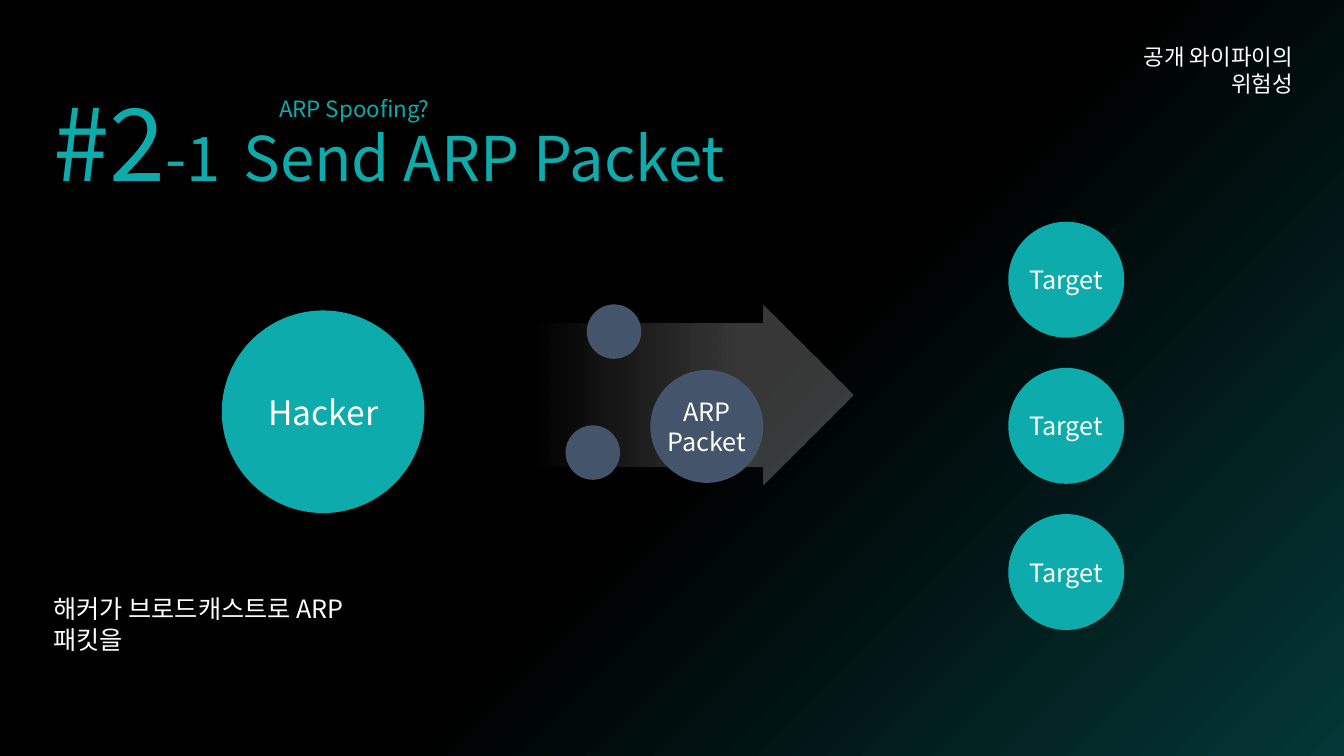
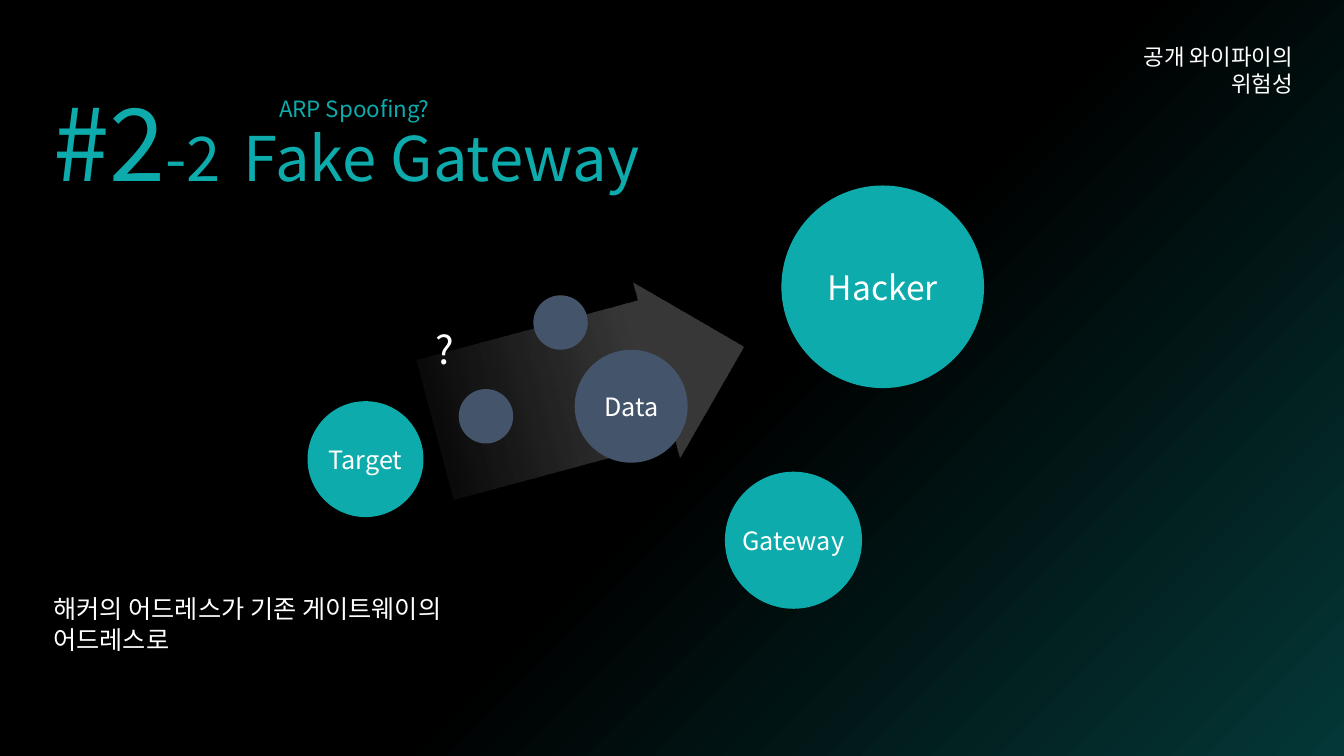
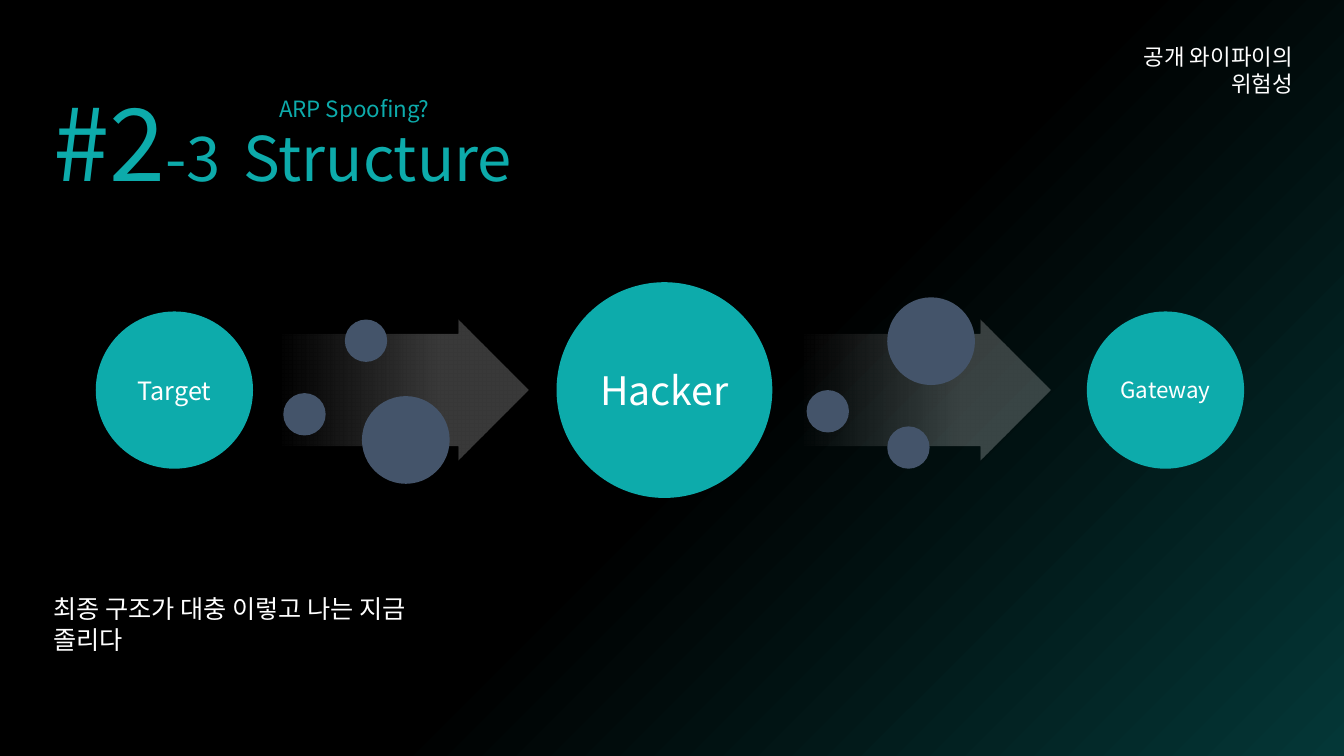
"""Build three dark slides that explain ARP spoofing."""
from dataclasses import dataclass

from lxml import etree
from pptx import Presentation
from pptx.dml.color import RGBColor
from pptx.enum.shapes import MSO_SHAPE
from pptx.enum.text import MSO_ANCHOR, MSO_AUTO_SIZE, PP_ALIGN
from pptx.oxml.ns import qn
from pptx.util import Inches, Pt

OVAL, ARROW = MSO_SHAPE.OVAL, MSO_SHAPE.RIGHT_ARROW
LEFT, MID, RIGHT = PP_ALIGN.LEFT, PP_ALIGN.CENTER, PP_ALIGN.RIGHT
TOP, CENTER = MSO_ANCHOR.TOP, MSO_ANCHOR.MIDDLE
FIXED, GROW = MSO_AUTO_SIZE.NONE, MSO_AUTO_SIZE.SHAPE_TO_FIT_TEXT


@dataclass(frozen=True)
class Theme:
    font: str = "Noto Sans CJK KR"
    black: str = "000000"
    deep: str = "043737"
    teal: str = "0DABAB"
    slate: str = "44546A"
    white: str = "FFFFFF"
    huge: int = 72
    head: int = 44
    large: int = 28
    name: int = 24
    body: int = 18
    small: int = 16


T = Theme()

TOPIC = "공개 와이파이의 위험성"
KICKER = "ARP Spoofing?"

# arrows: left, top, width, height, turn
# nodes and packets: label, size, left, top, width
SLIDES = [
    {
        "title": "Send ARP Packet",
        "note": ("해커가 브로드캐스트로 ARP패킷을", 3.8),
        "arrows": [(5.29, 3.02, 3.17, 1.8, 0)],
        "nodes": [("Hacker", T.name, 2.2, 3.08, 2.01)]
        + [("Target", T.body, 10, 2.2 + 1.45 * row, 1.15) for row in range(3)],
        "packets": [
            ("", T.body, 5.82, 3.02, 0.54),
            ("ARP\nPacket", T.body, 6.45, 3.67, 1.12),
            ("", T.body, 5.61, 4.22, 0.54),
        ],
        "marks": [],
    },
    {
        "title": "Fake Gateway",
        "note": ("해커의 어드레스가 기존 게이트웨이의 어드레스로", 5.28),
        "arrows": [(4.26, 2.95, 3.17, 1.8, 345)],
        "nodes": [
            ("Hacker", T.name, 7.75, 1.84, 2.01),
            ("Target", T.body, 3.05, 3.98, 1.15),
            ("Gateway", T.body, 7.19, 4.68, 1.36),
        ],
        "packets": [
            ("", T.body, 5.29, 2.93, 0.54),
            ("Data", T.body, 5.7, 3.47, 1.12),
            ("", T.body, 4.55, 3.86, 0.54),
        ],
        "marks": [("?", 4.22, 3.18, 0.41, 0.57)],
    },
    {
        "title": "Structure",
        "note": ("최종 구조가 대충 이렇고 나는 지금 졸리다", 4.48),
        "arrows": [(2.78, 3.17, 2.46, 1.4, 0), (7.96, 3.17, 2.46, 1.4, 0)],
        "nodes": [
            ("Target", T.body, 0.95, 3.09, 1.56),
            ("Hacker", T.large, 5.52, 2.8, 2.14),
            ("Gateway", T.small, 10.78, 3.09, 1.56),
        ],
        "packets": [
            ("", T.body, 3.42, 3.17, 0.42),
            ("", T.body, 3.59, 3.93, 0.87),
            ("", T.body, 2.81, 3.9, 0.42),
            ("", T.body, 8.8, 4.23, 0.42),
            ("", T.body, 8.8, 2.95, 0.87),
            ("", T.body, 8, 3.87, 0.42),
        ],
        "marks": [],
    },
]


def rgb(code):
    return RGBColor.from_string(code)


def write(shape, text, size=T.body, color=T.white, align=LEFT, anchor=TOP,
          wrap=True, fit=FIXED, space=None):
    frame = shape.text_frame
    frame.word_wrap, frame.auto_size = wrap, fit
    frame.vertical_anchor = anchor
    lines = ([[(line, size)] for line in text.split("\n")]
             if isinstance(text, str) else [text])
    for at, line in enumerate(lines):
        para = frame.add_paragraph() if at else frame.paragraphs[0]
        para.alignment = align
        if space:
            para.line_spacing = space
        for words, points in line:
            run = para.add_run()
            run.text = words
            run.font.size = Pt(points)
            run.font.name = T.font
            run.font.color.rgb = rgb(color)
            east = etree.SubElement(run._r.get_or_add_rPr(), qn("a:ea"))
            east.set("typeface", T.font)
    return frame


def box(slide, text, *place, **style):
    shape = slide.shapes.add_textbox(*map(Inches, place))
    return write(shape, text, fit=GROW, **style)


def shade(fill, *stops):
    fill.gradient()
    for stop, (color, spot) in zip(fill.gradient_stops, stops):
        stop.color.rgb = rgb(color)
        stop.position = spot


def draw(slide, kind, *place):
    shape = slide.shapes.add_shape(kind, *map(Inches, place))
    shape.shadow.inherit = False
    shape.line.fill.background()
    return shape


def disc(slide, color, label, size, left, top, width):
    shape = draw(slide, OVAL, left, top, width, width)
    shape.fill.solid()
    shape.fill.fore_color.rgb = rgb(color)
    if label:
        write(shape, label, size=size, align=MID, anchor=CENTER, wrap=False)


def arrow(slide, left, top, width, height, turn):
    shape = draw(slide, ARROW, left, top, width, height)
    shape.rotation = turn
    shape.adjustments[0], shape.adjustments[1] = 0.794, 0.5
    shade(shape.fill, (T.white, 0.36), (T.white, 1))
    shape.fill.gradient_angle = 180
    tints = shape.element.spPr.iter(qn("a:srgbClr"))
    for tint, alpha in zip(tints, (22, 0)):
        etree.SubElement(tint, qn("a:alpha")).set("val", str(alpha * 1000))


def setup(deck):
    deck.slide_width, deck.slide_height = Inches(13.33), Inches(7.5)
    master = deck.slide_master
    shade(master.background.fill, (T.black, 0.54), (T.deep, 1))
    grad = next(master.element.iter(qn("a:gradFill")))
    grad.remove(grad.find(qn("a:lin")))
    glow = etree.SubElement(grad, qn("a:path"))
    glow.set("path", "circle")
    focus = etree.SubElement(glow, qn("a:fillToRect"))
    for side in "rb":
        focus.set(side, "100000")
    layout = deck.slide_layouts[5]
    title = layout.placeholders[0]
    title.left, title.top = Inches(0.43), Inches(0.75)
    title.width, title.height = Inches(11.5), Inches(1.45)
    return layout


def build(deck, layout, number, page):
    slide = deck.slides.add_slide(layout)
    for spot in page["arrows"]:
        arrow(slide, *spot)
    title = [("#2", T.huge), (f"-{number}", T.head), (" ", T.huge),
             (page["title"], T.head)]
    write(slide.shapes.title, title, color=T.teal, anchor=CENTER, space=0.9)
    topic = box(slide, TOPIC, 10.57, 0.38, 2.35, 0.37, size=T.small, align=RIGHT)
    topic.margin_left = Inches(0.3)
    box(slide, KICKER, 2.67, 0.89, 1.81, 0.37, size=T.small, color=T.teal,
        wrap=False)
    note, width = page["note"]
    box(slide, note, 0.43, 5.84, width, 0.4).margin_right = Inches(0.3)
    for color, group in ((T.teal, "nodes"), (T.slate, "packets")):
        for item in page[group]:
            disc(slide, color, *item)
    for mark in page["marks"]:
        box(slide, *mark, size=T.large, wrap=False)


deck = Presentation()
layout = setup(deck)
for number, page in enumerate(SLIDES, 1):
    build(deck, layout, number, page)
deck.save("out.pptx")
